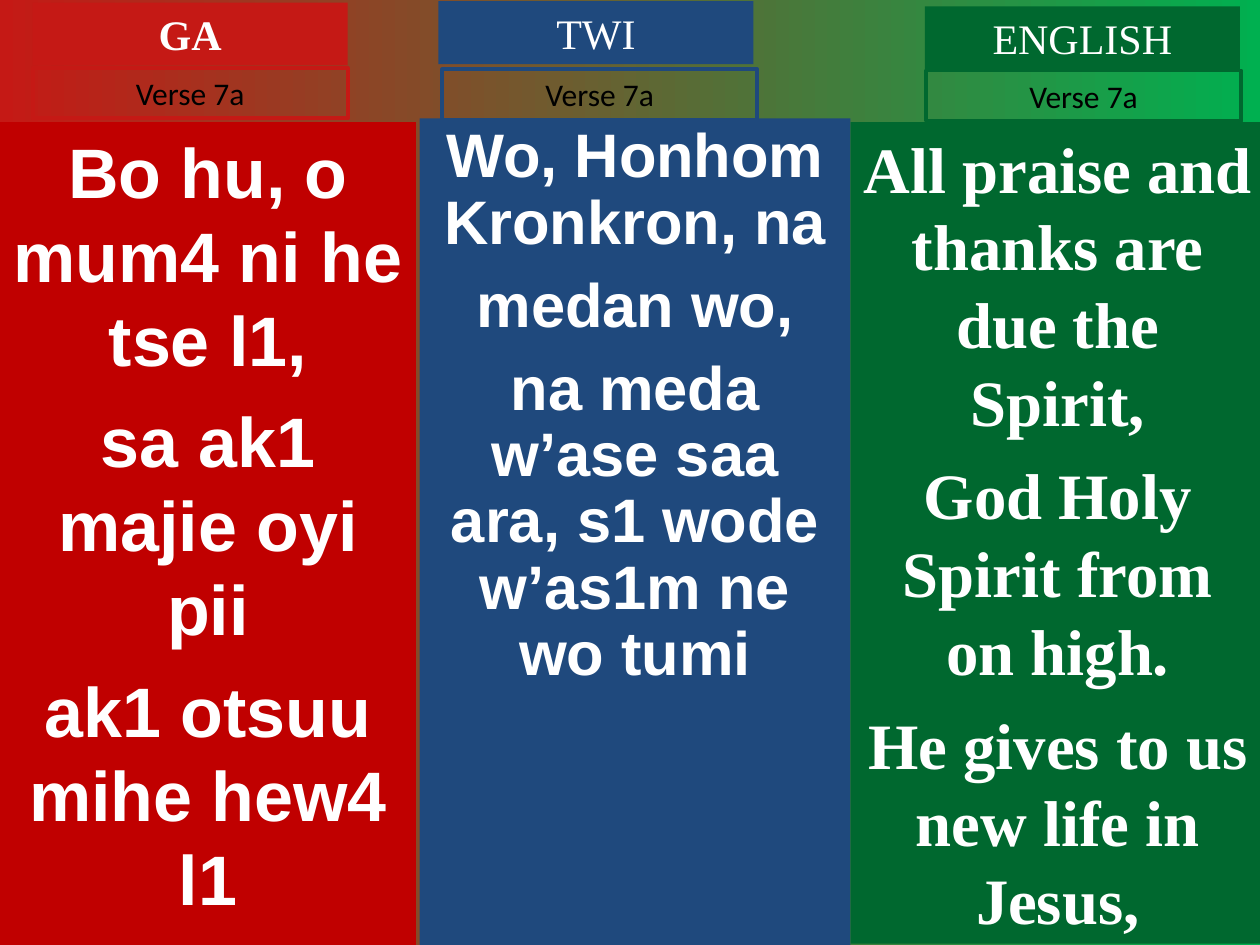
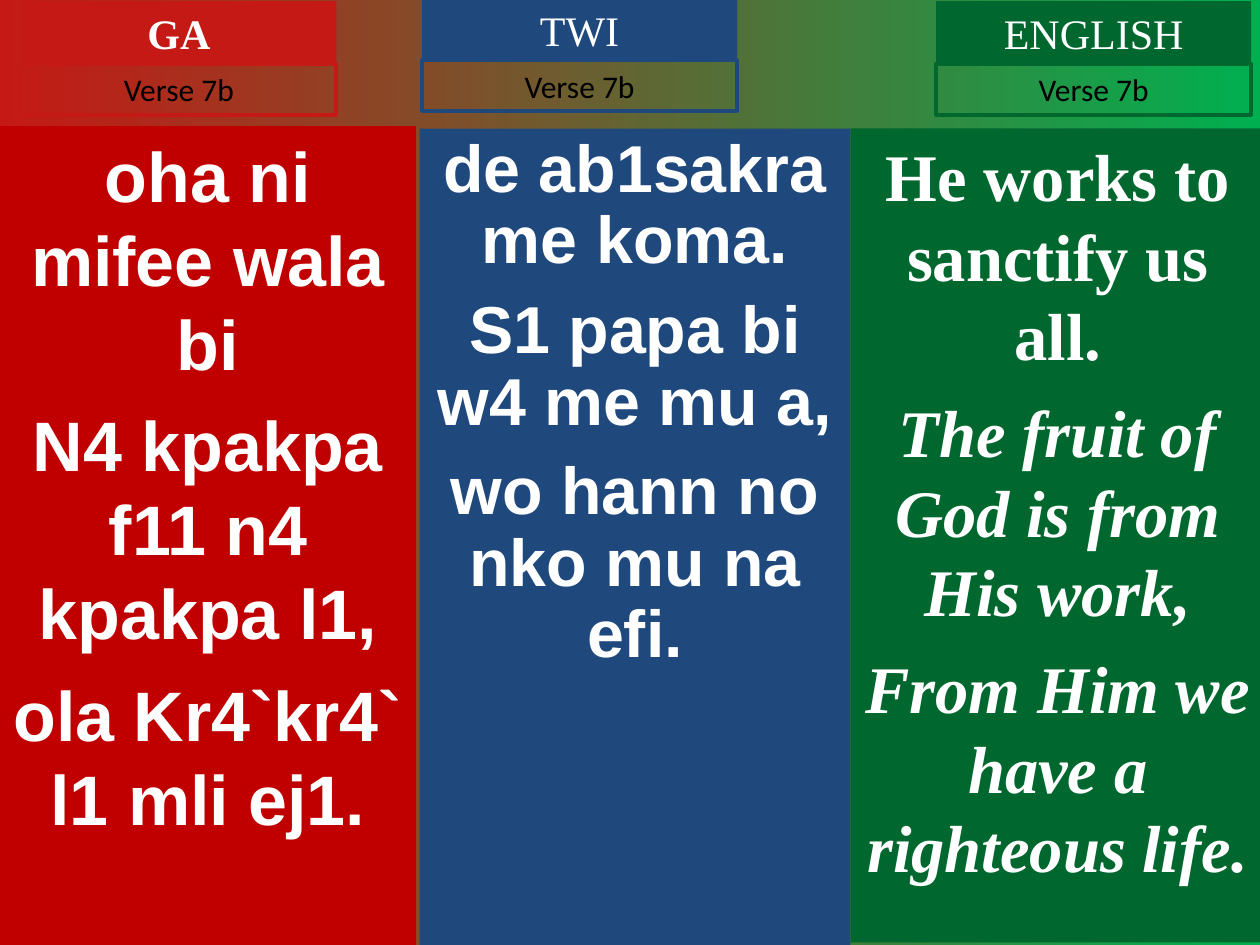
from pptx import Presentation
from pptx.dml.color import RGBColor
from pptx.enum.shapes import MSO_SHAPE
from pptx.enum.text import MSO_ANCHOR, MSO_AUTO_SIZE, PP_ALIGN
from pptx.oxml.ns import qn
from pptx.util import Inches, Pt

RECT = MSO_SHAPE.RECTANGLE
TOP = MSO_ANCHOR.TOP
FIXED = MSO_AUTO_SIZE.NONE
CENTER = PP_ALIGN.CENTER
TWO_CONTENT = 3

COLORS = {
    "ga_label": "C51915", "ga": "C00000", "twi": "1F497D", "english": "00682F",
    "fade_end": "00B050", "white": "FFFFFF", "black": "000000",
}
LABEL = {"name": "Times New Roman", "size": Pt(24), "bold": False}
VERSE = {"name": "Calibri", "size": Pt(18), "bold": False}
LYRICS = {"name": "Arial", "bold": True}
LABEL_SIZE = (2.5, 0.5)
VERSE_SIZE = (2.5, 0.4)

SLIDES = [
    {
        "verse": "Verse 7a",
        "ga": {
            "label": (0.26, 0.02), "verse": (0.26, 0.54),
            "panel": (0, 0.97, 3.3, 6.53), "size": 40, "gap": 10,
            "lines": ["Bo hu, o mum4 ni he tse l1,", "sa ak1 majie oyi pii",
                      "ak1 otsuu mihe hew4 l1"],
        },
        "twi": {
            "label": (3.48, 0.01), "verse": (3.51, 0.55),
            "panel": (3.33, 0.94, 3.42, 6.56), "size": 35.1, "gap": 9.5,
            "lines": ["Wo, Honhom Kronkron, na", "medan wo,",
                      "na meda w’ase saa ara, s1 wode w’as1m ne wo tumi"],
        },
        "english": {
            "label": (7.34, 0.05), "verse": (7.35, 0.56),
            "panel": (6.75, 0.97, 3.29, 6.52), "size": 37, "gap": 9.2,
            "lines": ["All praise and thanks are due the Spirit,",
                      "God Holy Spirit from on high.",
                      "He gives to us new life in Jesus,"],
        },
    },
    {
        "verse": "Verse 7b",
        "ga": {
            "label": (0.17, 0.01), "verse": (0.17, 0.51),
            "panel": (0, 1, 3.3, 6.5), "size": 40, "gap": 10,
            "lines": ["oha ni mifee wala bi", "N4 kpakpa f11 n4 kpakpa l1,",
                      "ola Kr4`kr4` l1 mli ej1."],
        },
        "twi": {
            "label": (3.35, -0.01), "verse": (3.35, 0.48),
            "panel": (3.33, 1.02, 3.42, 6.48), "size": 37.9, "gap": 10.3,
            "lines": ["de ab1sakra me koma.", "S1 papa bi w4 me mu a,",
                      "wo hann no nko mu na efi."],
        },
        "english": {
            "label": (7.43, 0.01), "verse": (7.43, 0.51),
            "panel": (6.75, 1.02, 3.29, 6.46), "size": 38, "gap": 9.5,
            "lines": ["He works to sanctify us all.",
                      "The fruit of God is from His work,",
                      "From Him we have a righteous life."],
            "italic_from": 1,
        },
    },
]


def rgb(name):
    return RGBColor.from_string(COLORS[name])


def add_rect(s):
    sp = s.shapes.add_shape(RECT, 0, 0, 0, 0)
    sp.shadow.inherit = False
    return sp


def place(sp, box):
    for side, value in zip(("left", "top", "width", "height"), box):
        setattr(sp, side, Inches(value))
    tf = sp.text_frame
    settings = {"word_wrap": True, "auto_size": FIXED, "vertical_anchor": TOP}
    for name, value in settings.items():
        setattr(tf, name, value)
    return tf


def write(p, text, font, color):
    p.alignment = CENTER
    r = p.add_run()
    r.text = text
    r.font.color.rgb = rgb(color)
    for name, value in font.items():
        setattr(r.font, name, value)


def paint(sp, color):
    sp.fill.solid()
    sp.fill.fore_color.rgb = rgb(color)
    sp.line.fill.background()


def add_label(sp, text, at, color, font):
    tf = place(sp, at + LABEL_SIZE)
    paint(sp, color)
    write(tf.paragraphs[0], text, font, "white")


def add_verse(s, text, at, color):
    sp = add_rect(s)
    tf = place(sp, at + VERSE_SIZE)
    sp.fill.background()
    sp.line.color.rgb = rgb(color)
    sp.line.width = Pt(2.25)
    write(tf.paragraphs[0], text, VERSE, "black")


def add_lyrics(sp, part, color, font, spacing):
    tf = place(sp, part["panel"])
    paint(sp, color)
    for i, line in enumerate(part["lines"]):
        p = tf.add_paragraph() if i else tf.paragraphs[0]
        p.line_spacing = spacing
        p.space_before = Pt(part["gap"] if i else 0)
        pPr = p._p.get_or_add_pPr()
        pPr.set("marL", "0")
        pPr.set("indent", "0")
        pPr.append(pPr.makeelement(qn("a:buNone"), {}))
        italic = i >= part.get("italic_from", len(part["lines"]))
        write(p, line, {**font, "size": Pt(part["size"]), "italic": italic}, "white")


def set_background(s):
    fill = s.background.fill
    fill.gradient()
    fill.gradient_angle = 0
    for stop, color in zip(fill.gradient_stops, ("ga_label", "fade_end")):
        stop.color.rgb = rgb(color)


def add_hymn_slide(prs, content):
    s = prs.slides.add_slide(prs.slide_layouts[TWO_CONTENT])
    set_background(s)
    title, ga_body, twi_body = list(s.placeholders)[:3]
    serif = {**LYRICS, "name": "Times New Roman"}
    ga, twi, english = (content[k] for k in ("ga", "twi", "english"))
    add_lyrics(ga_body, ga, "ga", LYRICS, 1.0)
    add_lyrics(twi_body, twi, "twi", LYRICS, 0.9)
    add_lyrics(add_rect(s), english, "english", serif, 1.0)
    add_label(title, "GA", ga["label"], "ga_label", {**LABEL, "bold": True})
    add_label(add_rect(s), "TWI", twi["label"], "twi", LABEL)
    add_label(add_rect(s), "ENGLISH", english["label"], "english", LABEL)
    for part, color in ((ga, "ga_label"), (twi, "twi"), (english, "english")):
        add_verse(s, content["verse"], part["verse"], color)


def main():
    prs = Presentation()
    prs.slide_width = Inches(10)
    prs.slide_height = Inches(7.5)
    for content in SLIDES:
        add_hymn_slide(prs, content)
    prs.save("out.pptx")


if __name__ == "__main__":
    main()
